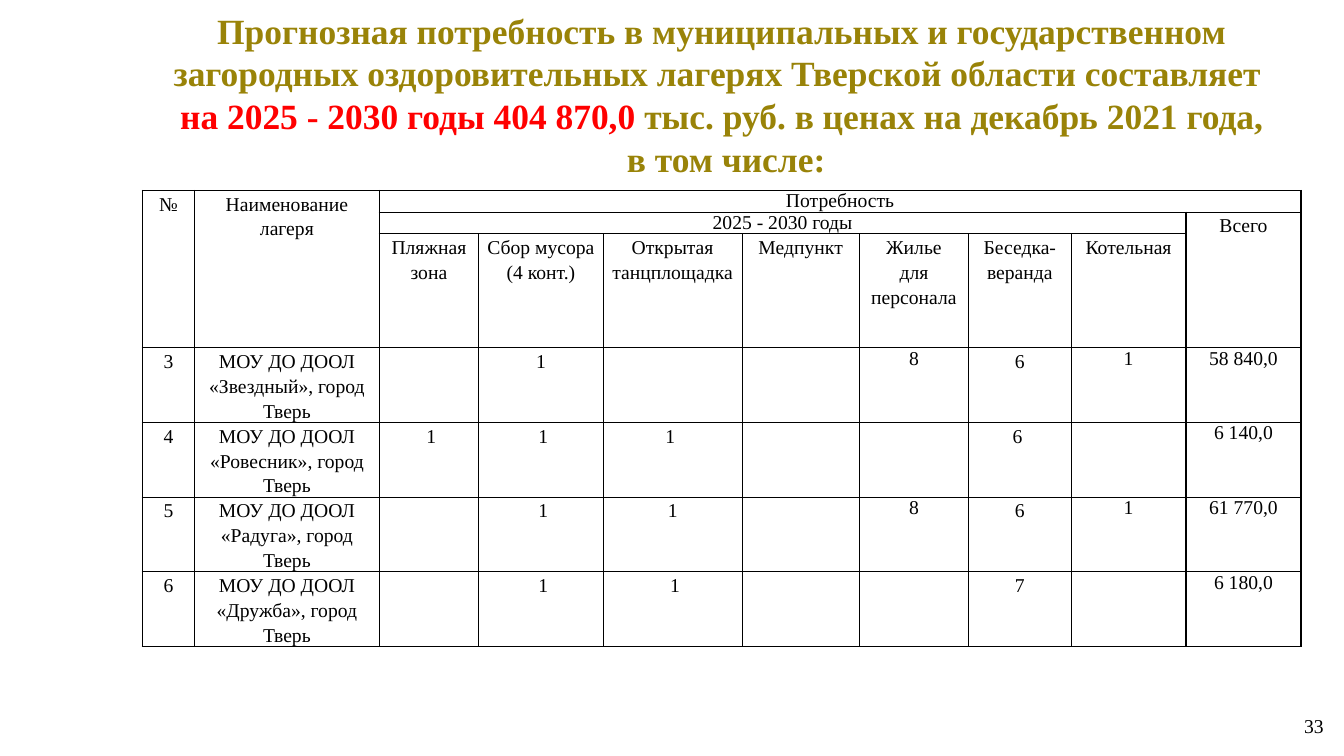
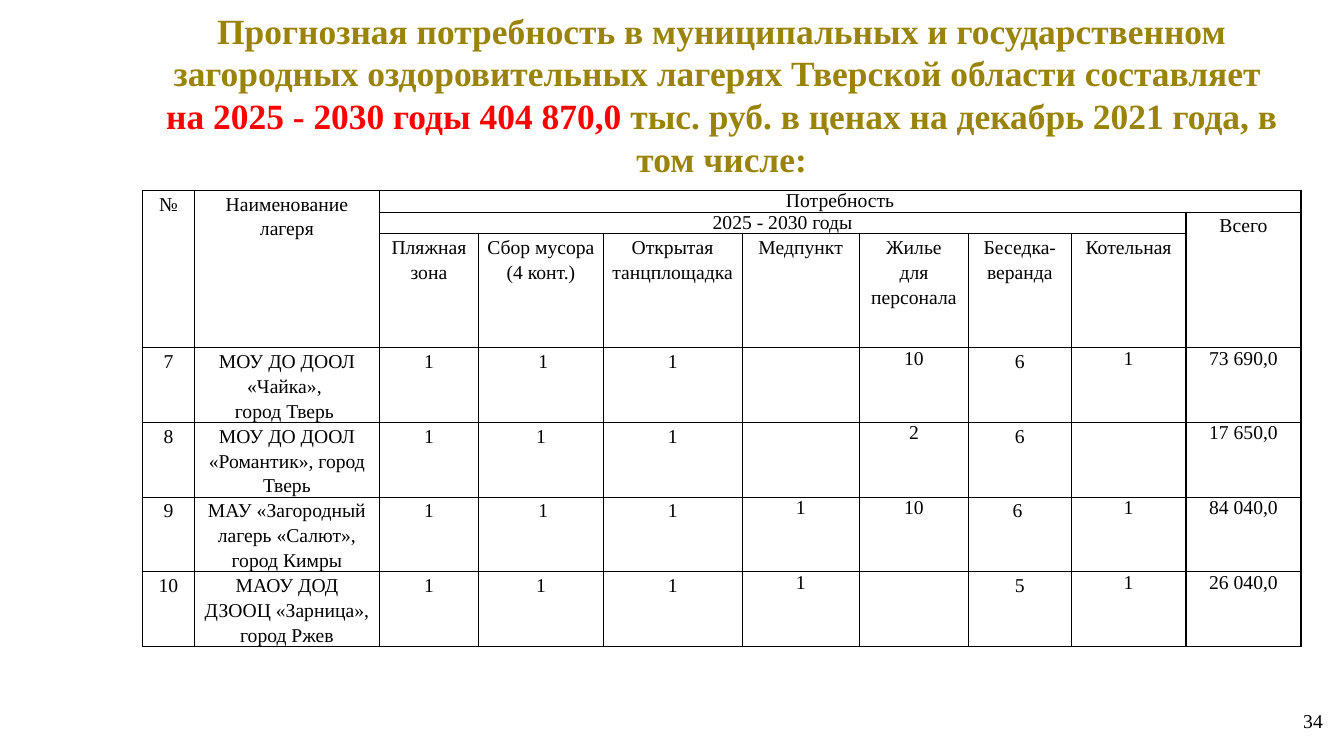
from dataclasses import dataclass

from lxml import etree
from pptx import Presentation
from pptx.dml.color import RGBColor
from pptx.enum.text import MSO_ANCHOR, MSO_AUTO_SIZE, PP_ALIGN
from pptx.oxml.ns import qn
from pptx.util import Pt

CENTER = PP_ALIGN.CENTER
MIDDLE = MSO_ANCHOR.MIDDLE
TOP = MSO_ANCHOR.TOP
NO_AUTOFIT = MSO_AUTO_SIZE.NONE
TITLE_ONLY = 5


@dataclass(frozen=True)
class Theme:
    font: str = "Times New Roman"
    title_size: float = 25.3
    title_leading: float = 30.5
    body_size: float = 14
    gold: str = "998308"
    red: str = "FF0000"
    black: str = "000000"
    white: str = "FFFFFF"


@dataclass(frozen=True)
class HeaderCell:
    text: str
    row: int
    column: int
    last_row: int
    last_column: int
    line_spacing: float = 1.15
    side_margin: float = 4.3


@dataclass(frozen=True)
class NeedsSlide:
    title_ending: tuple[str, ...]
    camps: tuple[tuple[str, ...], ...]
    number: str
    number_left: float
    number_top: float


THEME = Theme()
TITLE_START = ("Прогнозная потребность в муниципальных и государственном "
               "загородных оздоровительных лагерях Тверской области составляет ")
TITLE_AMOUNT = "на 2025 - 2030 годы 404 870,0 "

# Table grid
COLUMN_WIDTHS = (37.5, 131.8, 71.1, 88.9, 99.3, 83.6, 78.2, 73.2, 82.1, 82.1)
HEADER_HEIGHTS = (15.5, 15.5, 81.4)
CAMP_HEIGHT = 53.3
SINGLE_SPACED_COLUMNS = (5, 6, 8, 9)
HEADER = (
    HeaderCell("№", 0, 0, 2, 0),
    HeaderCell("Наименование лагеря", 0, 1, 2, 1),
    HeaderCell("Потребность", 0, 2, 0, 9, 1.0),
    HeaderCell("2025 - 2030 годы", 1, 2, 1, 8, 1.0),
    HeaderCell("Всего", 1, 9, 2, 9),
    HeaderCell("Пляжная зона", 2, 2, 2, 2),
    HeaderCell("Сбор мусора (4 конт.)", 2, 3, 2, 3),
    HeaderCell("Открытая танцплощадка", 2, 4, 2, 4),
    HeaderCell("Медпункт", 2, 5, 2, 5, side_margin=7.2),
    HeaderCell("Жилье для персонала", 2, 6, 2, 6, side_margin=7.2),
    HeaderCell("Беседка-веранда", 2, 7, 2, 7),
    HeaderCell("Котельная", 2, 8, 2, 8, side_margin=7.2),
)

SLIDES = (
    NeedsSlide(
        ("тыс. руб. в ценах на декабрь 2021 года,", " в том числе:"),
        (
            ("3", "МОУ ДО ДООЛ «Звездный», город Тверь",
             "", "1", "", "", "8", "6", "1", "58 840,0"),
            ("4", "МОУ ДО ДООЛ «Ровесник», город Тверь",
             " 1", " 1", "1 ", "", "", "6 ", "", "6 140,0"),
            ("5", "МОУ ДО ДООЛ «Радуга», город Тверь",
             "", " 1", "1", "", "8", "6", "1", "61 770,0"),
            ("6", "МОУ ДО ДООЛ «Дружба», город Тверь",
             "", " 1", " 1", "", "", "7", "", "6 180,0"),
        ),
        "33", 924.5, 506.2,
    ),
    NeedsSlide(
        ("тыс. руб. в ценах на декабрь 2021 года, в том числе:",),
        (
            ("7", "МОУ ДО ДООЛ «Чайка», \nгород Тверь ",
             "1", " 1", "1", "", "10", "6", "1", "73 690,0"),
            ("8", "МОУ ДО ДООЛ «Романтик», город Тверь",
             "1", "1", "1", "", "2", "6", "", "17 650,0"),
            ("9", "МАУ «Загородный лагерь «Салют», город Кимры",
             "1", " 1", "1", "1", "10", "6 ", "1", "84 040,0"),
            ("10", "МАОУ ДОД ДЗООЦ «Зарница», город Ржев",
             "1", "1", "1", "1", "", "5", "1", "26 040,0"),
        ),
        "34", 923.8, 502.6,
    ),
)


def format_run(run, size: float, color: str, bold: bool = False) -> None:
    run.font.name = THEME.font
    run.font.size = Pt(size)
    run.font.bold = bold
    run.font.color.rgb = RGBColor.from_string(color)


def draw_title(slide, ending: tuple[str, ...]) -> None:
    title = slide.shapes.title
    title.left, title.top = Pt(93.6), Pt(6)
    title.width, title.height = Pt(843.8), Pt(122)
    frame = title.text_frame
    frame.auto_size = NO_AUTOFIT
    frame.word_wrap = True
    frame.vertical_anchor = MIDDLE
    frame.margin_left = frame.margin_right = Pt(6.5)
    frame.margin_top = frame.margin_bottom = 0
    lines = (
        ((TITLE_START, THEME.gold),),
        ((TITLE_AMOUNT, THEME.red), (ending[0], THEME.gold)),
        *(((text, THEME.gold),) for text in ending[1:]),
    )
    for index, pieces in enumerate(lines):
        paragraph = frame.add_paragraph() if index else frame.paragraphs[0]
        paragraph.alignment = CENTER
        paragraph.line_spacing = Pt(THEME.title_leading)
        for text, color in pieces:
            run = paragraph.add_run()
            run.text = text
            format_run(run, THEME.title_size, color, bold=True)


def style_cell(cell) -> None:
    """Give a cell thin black borders, no fill and a small empty line."""
    properties = cell._tc.get_or_add_tcPr()
    for side in ("lnL", "lnR", "lnT", "lnB"):
        line = etree.SubElement(properties, qn(f"a:{side}"), w=str(Pt(1)))
        fill = etree.SubElement(line, qn("a:solidFill"))
        etree.SubElement(fill, qn("a:srgbClr"), val=THEME.black)
    cell.fill.background()
    cell.margin_top = cell.margin_bottom = 0
    cell.margin_left = cell.margin_right = Pt(4.3)
    cell.vertical_anchor = TOP
    etree.SubElement(cell.text_frame.paragraphs[0]._p, qn("a:endParaRPr"),
                     sz=str(THEME.body_size * 100))


def fill_cell(cell, text: str, line_spacing: float) -> None:
    cell.text_frame.text = text
    for paragraph in cell.text_frame.paragraphs:
        paragraph.alignment = CENTER
        paragraph.line_spacing = line_spacing
        for run in paragraph.runs:
            format_run(run, THEME.body_size, THEME.black)


def draw_table(slide, camps: tuple[tuple[str, ...], ...]) -> None:
    heights = HEADER_HEIGHTS + (CAMP_HEIGHT,) * len(camps)
    table = slide.shapes.add_table(
        len(heights), len(COLUMN_WIDTHS), Pt(101.6), Pt(136),
        Pt(sum(COLUMN_WIDTHS)), Pt(sum(heights))).table
    table.first_row = table.horz_banding = False
    for column, width in zip(table.columns, COLUMN_WIDTHS):
        column.width = Pt(width)
    for row, height in zip(table.rows, heights):
        row.height = Pt(height)
    for cell in table.iter_cells():
        style_cell(cell)

    # Header
    for item in HEADER:
        cell = table.cell(item.row, item.column)
        last_cell = table.cell(item.last_row, item.last_column)
        if (item.row, item.column) != (item.last_row, item.last_column):
            cell.merge(last_cell)
        cell.margin_left = cell.margin_right = Pt(item.side_margin)
        fill_cell(cell, item.text, item.line_spacing)

    # Camps
    for row_index, camp in enumerate(camps, start=len(HEADER_HEIGHTS)):
        for column_index, text in enumerate(camp):
            if text:
                spacing = 1.0 if column_index in SINGLE_SPACED_COLUMNS else 1.15
                fill_cell(table.cell(row_index, column_index), text, spacing)


def draw_number(slide, content: NeedsSlide) -> None:
    box = slide.shapes.add_textbox(
        Pt(content.number_left), Pt(content.number_top), Pt(28.8), Pt(24.5))
    frame = box.text_frame
    frame.word_wrap = False
    frame.text = content.number
    format_run(frame.paragraphs[0].runs[0], THEME.body_size, THEME.black)


def main() -> None:
    presentation = Presentation()
    presentation.slide_width, presentation.slide_height = Pt(960), Pt(540)
    background = presentation.slide_master.background.fill
    background.solid()
    background.fore_color.rgb = RGBColor.from_string(THEME.white)
    for content in SLIDES:
        slide = presentation.slides.add_slide(
            presentation.slide_layouts[TITLE_ONLY])
        draw_title(slide, content.title_ending)
        draw_table(slide, content.camps)
        draw_number(slide, content)
    presentation.save("out.pptx")


if __name__ == "__main__":
    main()
